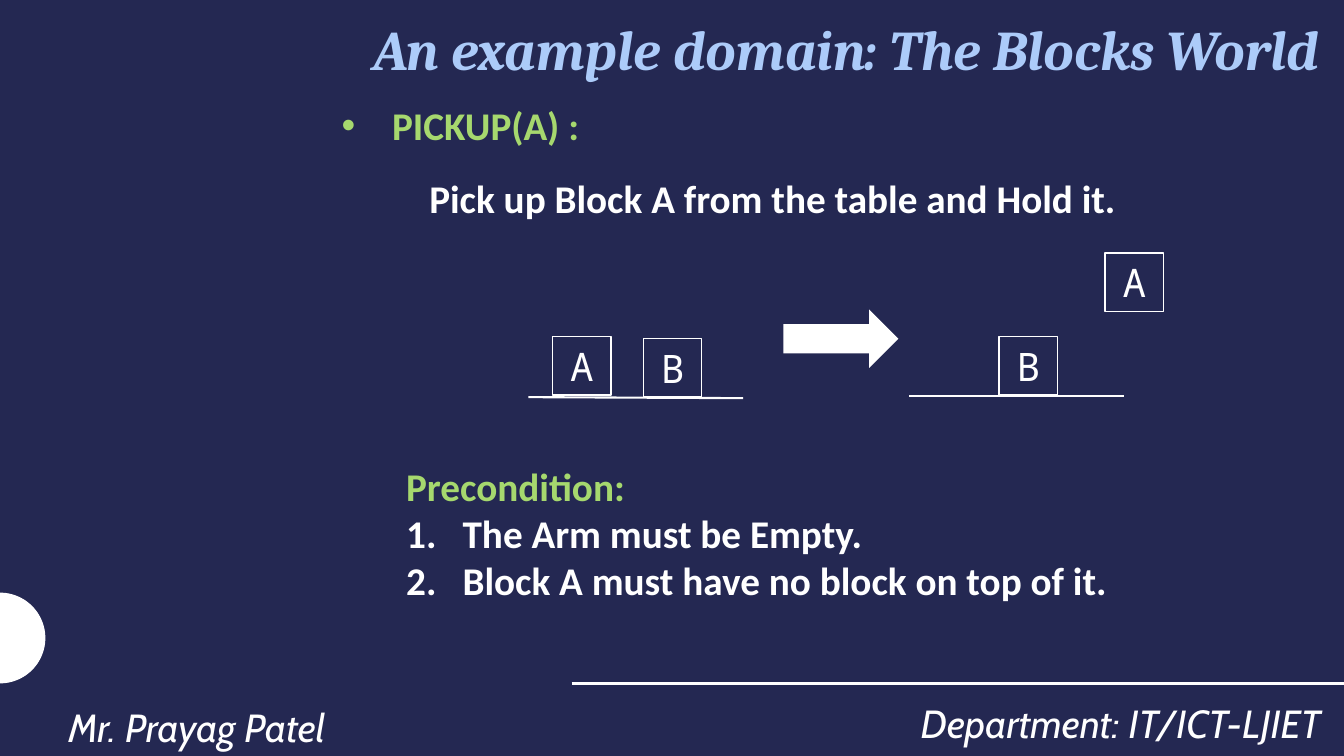
from math import cos, pi, sin
from lxml.etree import SubElement
from pptx import Presentation
from pptx.dml.color import RGBColor
from pptx.enum.shapes import MSO_CONNECTOR as Link, MSO_SHAPE as Kind
from pptx.enum.text import MSO_ANCHOR as Anchor, MSO_AUTO_SIZE as Fit, PP_ALIGN as Align
from pptx.oxml.ns import qn
from pptx.util import Inches, Pt

NAVY = RGBColor(0x24, 0x28, 0x52)
WHITE = RGBColor(0xFF, 0xFF, 0xFF)
GREEN = RGBColor(0xA6, 0xD8, 0x6E)
BLUE = RGBColor(0xAC, 0xCB, 0xF9)
SIDE = 0.58


def write(para, text, font="Calibri", size=28, color=WHITE, bold=False, italic=False,
          align=None, lead=None, after=None, mark=None, indent=0):
    if mark:
        props = para._p.get_or_add_pPr()
        props.set("marL", str(Inches(indent)))
        props.set("indent", str(-Inches(indent)))
        if mark == "1.":
            SubElement(props, qn("a:buAutoNum"), type="arabicPeriod")
        else:
            SubElement(props, qn("a:buFont"), typeface="Arial")
            SubElement(props, qn("a:buChar"), char=mark)
    para.alignment = align
    if lead:
        para.line_spacing = lead
    if after:
        para.space_after = Pt(after)
    run = para.add_run()
    run.text = text
    face = run.font
    face.name, face.size, face.bold, face.italic = font, Pt(size), bold, italic
    face.color.rgb = color


class Page:
    def __init__(self, deck):
        self.slide = deck.slides.add_slide(deck.slide_layouts[5])
        self.shapes = self.slide.shapes
        back = self.slide.background.fill
        back.solid()
        back.fore_color.rgb = NAVY

    def title(self, box, text, **style):
        head = self.shapes.title
        head.left, head.top, head.width, head.height = map(Inches, box)
        frame = head.text_frame
        frame.auto_size = Fit.NONE
        frame.vertical_anchor = Anchor.MIDDLE
        write(frame.paragraphs[0], text, **style)

    def text(self, box, *lines, wrap=True, fit=Fit.NONE):
        frame = self.shapes.add_textbox(*map(Inches, box)).text_frame
        frame.word_wrap = wrap
        frame.auto_size = fit
        for i, (line, style) in enumerate(lines):
            para = frame.add_paragraph() if i else frame.paragraphs[0]
            write(para, line, **style)

    def line(self, x1, y1, x2, y2, width):
        rule = self.shapes.add_connector(Link.STRAIGHT, *map(Inches, (x1, y1, x2, y2)))
        rule.line.color.rgb = WHITE
        rule.line.width = Pt(width)
        SubElement(rule._element.spPr, qn("a:effectLst"))

    def solid(self, shape):
        shape.shadow.inherit = False
        shape.fill.solid()
        shape.fill.fore_color.rgb = WHITE
        shape.line.fill.background()

    def block(self, name, x, y):
        box = self.shapes.add_shape(Kind.RECTANGLE, *map(Inches, (x, y, SIDE, SIDE)))
        box.shadow.inherit = False
        box.fill.background()
        box.line.color.rgb = WHITE
        box.line.width = Pt(1)
        frame = box.text_frame
        frame.word_wrap = False
        frame.vertical_anchor = Anchor.MIDDLE
        write(frame.paragraphs[0], name, font="Noto Sans Mono", align=Align.CENTER)

    def arrow(self, x, y, wide, high):
        self.solid(self.shapes.add_shape(Kind.RIGHT_ARROW, *map(Inches, (x, y, wide, high))))

    def dome(self, y, radius, steps=48):
        turns = [pi * i / steps - pi / 2 for i in range(steps + 1)]
        dots = [(Inches(radius * cos(t)), Inches(y + radius * sin(t))) for t in turns]
        path = self.shapes.build_freeform(*dots[0])
        path.add_line_segments(dots[1:], close=True)
        self.solid(path.convert_to_shape())


def main():
    deck = Presentation()
    deck.slide_width, deck.slide_height = Inches(13.33), Inches(7.5)
    page = Page(deck)

    page.dome(6.33, 0.45)
    page.line(5.67, 6.78, 13.33, 6.78, 2)
    foot = dict(font="Cabin", italic=True, lead=1.14)
    page.text((8.08, 6.82, 5.12, 0.63),
              ("Department: IT/ICT-LJIET", dict(foot, align=Align.RIGHT, after=6)))
    page.text((0.58, 6.86, 8.52, 0.63), ("Mr. Prayag Patel", foot))

    page.title((1.73, 0.03, 11.45, 0.9), "An example domain: The Blocks World",
               font="Cambria", size=40, color=BLUE, bold=True, italic=True, align=Align.RIGHT)
    strong = dict(bold=True)
    green = dict(strong, color=GREEN)
    page.text((3.29, 0.72, 9.91, 0.73),
              ("PICKUP(A) :", dict(green, align=Align.JUSTIFY, lead=1.5, mark="•", indent=0.5)),
              fit=Fit.SHAPE_TO_FIT_TEXT)
    page.text((4.16, 1.68, 7.09, 0.57),
              ("Pick up Block A from the table and Hold it.", strong),
              wrap=False, fit=Fit.SHAPE_TO_FIT_TEXT)
    item = dict(strong, mark="1.", indent=0.56)
    page.text((3.93, 4.54, 7.32, 1.51),
              ("Precondition:", green),
              ("The Arm must be Empty.", item),
              ("Block A must have no block on top of it.", item),
              wrap=False, fit=Fit.SHAPE_TO_FIT_TEXT)

    for name, x, y in (("B", 6.38, 3.36), ("A", 5.48, 3.34), ("B", 9.91, 3.34), ("A", 10.96, 2.51)):
        page.block(name, x, y)
    page.line(5.24, 3.94, 7.37, 3.95, 1.5)
    page.line(9.02, 3.93, 11.15, 3.93, 1.5)
    page.arrow(7.77, 3.07, 1.14, SIDE)

    deck.save("out.pptx")


if __name__ == "__main__":
    main()
